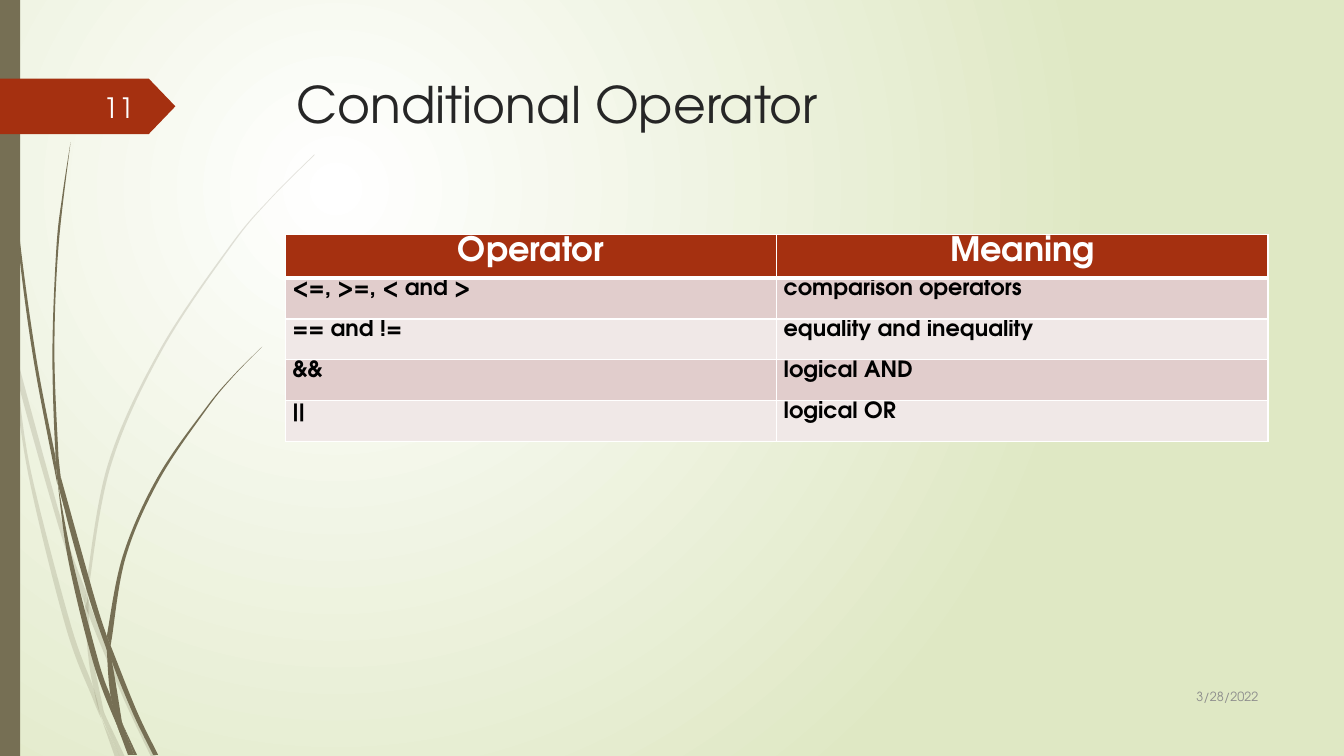
from lxml.etree import SubElement
from pptx import Presentation
from pptx.dml.color import RGBColor
from pptx.enum.shapes import MSO_SHAPE as Preset
from pptx.enum.text import MSO_ANCHOR as Anchor, MSO_AUTO_SIZE as AutoSize, PP_ALIGN as Align
from pptx.oxml.ns import qn
from pptx.util import Inches, Pt

FONT = "TeX Gyre Adventor"
COLORS = {
    "white": "FFFFFF", "meadow": "DFE8C4", "olive": "766F54", "rust": "A53010",
    "title": "262626", "date": "8C8C8C", "number": "FEFFFF", "black": "000000",
    "rose": "E1CDCC", "pale": "F0E8E7",
}
CELL = Inches(0.1)  # one column or row of the slide grid
COLUMNS, ROWS = 133.33, 75

# Grass: each blade part has two sides, given as (column, row) knots
PALE_GRASS = [
    ([(1.1, 35), (0.9, 32.2), (0, 28.2)], [(0, 29.9), (1, 34.4), (1.1, 35)]),
    ([(1.4, 34.5), (1.7, 37.6), (5.8, 52.2), (8.4, 59.9)],
     [(8.5, 58.6), (6.2, 52), (1.4, 34.5)]),
    ([(8.8, 59.6), (8.8, 61), (12.3, 69.4), (15, 75.1)],
     [(15.5, 75.1), (12.7, 69.2), (9.2, 60.7), (8.8, 59.6)]),
    ([(10.5, 71.1), (11.9, 75.1)], [(12.4, 75.1), (10.5, 71.1)]),
    ([(1.1, 35), (2.8, 47), (6.5, 62.1), (9.2, 69.3), (10.1, 71.4)],
     [(9.9, 70.7), (9.3, 68.3), (7, 61.9), (3.1, 46.9), (1.7, 37.6), (1.1, 35)]),
    ([(8.4, 59.9), (8.7, 64.6), (9.3, 68.3), (10.5, 71.1)],
     [(10.3, 70.6), (9.1, 64.6), (8.8, 61), (8.4, 59.9)]),
    ([(31.2, 15.3), (26.8, 19.7), (22.8, 24.4), (15.8, 34.8), (10.7, 46.1), (8.5, 58.4)],
     [(8.8, 59.6), (8.8, 58.4), (11, 46.2), (16, 34.9), (22.9, 24.5), (26.8, 19.8),
      (31.2, 15.4)]),
    ([(10.1, 71.4), (11.4, 75.1)], [(11.9, 75.1), (10.1, 71.4)]),
    ([(8.5, 58.6), (8.4, 59.9), (8.8, 61)], [(8.8, 59.6), (8.5, 58.6)]),
    ([(9.3, 68.3), (9.9, 70.7), (11.9, 75.1)], [(10.5, 71.1), (9.6, 69.2), (9.3, 68.3)]),
]
DARK_GRASS = [
    ([(0.3, 0), (0.7, 11), (1.7, 23.3), (3.3, 35.5), (5.7, 48.1)],
     [(5.5, 45.3), (3.6, 35.5), (1.9, 23.2), (0.8, 10.9), (0.4, 0)]),
    ([(6, 47.2), (6.4, 50.5), (8.8, 59.2), (10.6, 64.5)],
     [(10.6, 63.1), (9.3, 59), (6, 47.2)]),
    ([(11, 64.1), (11.1, 65.6), (13.2, 70.8), (15.2, 74.9)],
     [(15.7, 74.9), (13.6, 70.6), (11, 64.1)]),
    ([(5.7, 47.7), (6.8, 55.7), (9.3, 65.9), (11.7, 72.2)],
     [(11, 69.1), (9.8, 65.7), (7.2, 55.6), (5.7, 47.7)]),
    ([(7, 14.1), (6.2, 19.3), (5.6, 24.5), (5.2, 34.9), (5.5, 44.9), (6, 47.2)],
     [(5.8, 45.3), (5.4, 34.9), (5.8, 24.5), (7, 14.1)]),
    ([(12.2, 71.9), (13.3, 74.9)], [(13.6, 74.9), (12.2, 71.9)]),
    ([(5.5, 44.9), (5.7, 47.7), (6.4, 50.5)], [(6, 47.2), (5.5, 44.9)]),
    ([(26, 34.4), (23.1, 37.3), (20.4, 40.5), (15.6, 47.4), (12.2, 55.1), (10.6, 63.1)],
     [(11, 64.1), (11.1, 63.3), (12.5, 55.2), (15.8, 47.6), (20.5, 40.6), (23.1, 37.4),
      (26, 34.4)]),
    ([(11.7, 72.2), (12.7, 74.9)], [(13.1, 74.9), (11.7, 72.2)]),
    ([(10.6, 64.5), (11, 69.1), (12.2, 71.9)], [(12.1, 71.6), (11.1, 65.6), (10.6, 64.5)]),
    ([(10.6, 63.1), (10.6, 64.5), (11.1, 65.6)], [(11, 64.1), (10.6, 63.1)]),
    ([(11, 69.1), (11.7, 72.2), (13, 74.9)], [(13.3, 74.9), (12.2, 71.9), (11, 69.1)]),
]
OPERATORS = [
    ("Operator", "Meaning"),
    ("<=, >=, < and >", "comparison operators"),
    ("== and !=", "equality and inequality"),
    ("&&", "logical AND"),
    ("||", "logical OR"),
]


def rgb(name):
    return RGBColor.from_string(COLORS[name])


def grid(*lengths):
    return [round(length * CELL) for length in lengths]


def bend(lines, knots):
    """Turn the straight lines that end at knots[1:] into smooth curves."""
    padded = [knots[0], *knots, knots[-1]]
    for line, a, b, c, d in zip(lines, padded, padded[1:], padded[2:], padded[3:]):
        line.tag = qn("a:cubicBezTo")
        handles = ([q + (r - p) / 6 for p, q, r in zip(a, b, c)],
                   [r - (s - q) / 6 for q, r, s in zip(b, c, d)])
        for index, (x, y) in enumerate(handles):
            point = SubElement(line, qn("a:pt"), x=str(round(x)), y=str(round(y)))
            line.insert(index, point)


def write(frame, text, size=16, color="black", bold=False, align=Align.LEFT,
          anchor=Anchor.TOP, spacing=None):
    frame.word_wrap = True
    frame.vertical_anchor = anchor
    paragraph = frame.paragraphs[0]
    paragraph.alignment = align
    paragraph.line_spacing = spacing
    run = paragraph.add_run()
    run.text = text
    run.font.name, run.font.size, run.font.bold = FONT, Pt(size), bold
    run.font.color.rgb = rgb(color)


class Deck:
    def __init__(self):
        self.show = Presentation()
        self.show.slide_width, self.show.slide_height = grid(COLUMNS, ROWS)
        self.slide = self.show.slides.add_slide(self.show.slide_layouts[5])
        self.shapes = self.slide.shapes

    def background(self, center, edge):
        fill = self.slide.background.fill
        fill.gradient()
        for stop, position, color in zip(fill.gradient_stops, (0, 1), (center, edge)):
            stop.position = position
            stop.color.rgb = rgb(color)
        gradient = self.slide.element.find(".//" + qn("a:gradFill"))
        gradient.remove(gradient.find(qn("a:lin")))
        glow = SubElement(gradient, qn("a:path"), {"path": "circle"})
        SubElement(glow, qn("a:fillToRect"), l="50000", t="50000", r="100000", b="100000")

    def paint(self, shape, color, opacity=100):
        shape.shadow.inherit = False
        shape.fill.solid()
        shape.fill.fore_color.rgb = rgb(color)
        shape.line.fill.background()
        if opacity < 100:
            tint = shape.element.spPr.find(".//" + qn("a:srgbClr"))
            SubElement(tint, qn("a:alpha"), val=str(opacity * 1000))

    def blade(self, down, up, opacity):
        knots = [grid(*knot) for knot in down + up]
        builder = self.shapes.build_freeform(*knots[0])
        builder.add_line_segments(knots[1:], close=True)
        part = builder.convert_to_shape()
        local = [(x - part.left, y - part.top) for x, y in knots]
        lines = list(part.element.iter(qn("a:lnTo")))
        turn = len(down)
        bend(lines[:turn - 1], local[:turn])
        bend(lines[turn:], local[turn:])
        self.paint(part, "olive", opacity)

    def block(self, preset, place, color):
        shape = self.shapes.add_shape(preset, *grid(*place))
        self.paint(shape, color)
        return shape

    def title(self, text, place):
        heading = self.shapes.title
        heading.left, heading.top, heading.width, heading.height = grid(*place)
        heading.text_frame.auto_size = AutoSize.NONE
        write(heading.text_frame, text, size=36, color="title")

    def label(self, text, place, **style):
        box = self.shapes.add_textbox(*grid(*place))
        write(box.text_frame, text, align=Align.RIGHT, anchor=Anchor.MIDDLE, **style)

    def border(self, cell, bottom):
        properties = cell._tc.get_or_add_tcPr()
        sides = (("lnL", 1), ("lnR", 1), ("lnT", 1), ("lnB", bottom))
        for index, (side, width) in enumerate(sides):
            line = SubElement(properties, qn("a:" + side), w=str(Pt(width)))
            fill = SubElement(line, qn("a:solidFill"))
            SubElement(fill, qn("a:srgbClr"), val=COLORS["white"])
            properties.insert(index, line)

    def table(self, rows, place):
        table = self.shapes.add_table(len(rows), len(rows[0]), *grid(*place)).table
        for r, row in enumerate(rows):
            for c, text in enumerate(row):
                cell = table.cell(r, c)
                cell.margin_left = cell.margin_right = Inches(0.07)
                cell.margin_top = cell.margin_bottom = 0
                cell.fill.solid()
                cell.fill.fore_color.rgb = rgb("rust" if r == 0 else ("pale", "rose")[r % 2])
                style = dict(size=24, color="white", align=Align.CENTER) if r == 0 else {}
                write(cell.text_frame, text, bold=True, spacing=1.07, **style)
                self.border(cell, bottom=3 if r == 0 else 1)


def main():
    deck = Deck()
    deck.background("white", "meadow")

    # Grass and side bar
    for grass, opacity in ((PALE_GRASS, 20), (DARK_GRASS, 100)):
        for down, up in grass:
            deck.blade(down, up, opacity)
    deck.block(Preset.RECTANGLE, (0, 0, 2, ROWS), "olive")

    # Page number tag
    tag = deck.block(Preset.PENTAGON, (0, 7.8, 17.4, 5.5), "rust")
    tag.adjustments[0] = 0.48
    deck.label("11", (5.8, 8.6, 8.5, 4), size=20, color="number")

    # Title, date and operators
    deck.title("Conditional Operator", (28.4, 6.8, 97.5, 14))
    deck.label("3/28/2022", (113.3, 67, 12.5, 4.1), size=9, color="date")
    deck.table(OPERATORS, (28.3, 23.3, 97.5, 20.3))
    deck.show.save("out.pptx")


if __name__ == "__main__":
    main()
